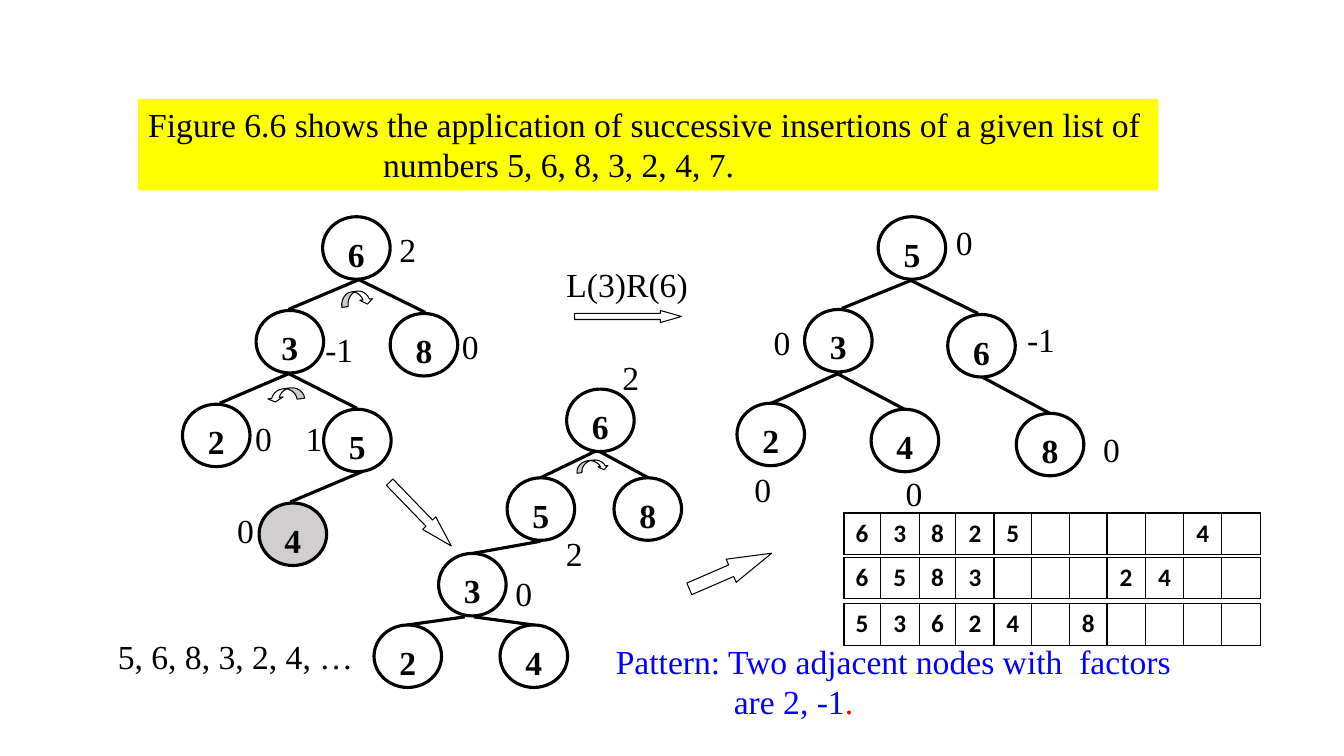
import pptx
import pptx.dml.color
import pptx.enum.shapes
import pptx.enum.text
import pptx.oxml
import pptx.oxml.ns
import pptx.util
from pptx.util import Inches

hex_color = pptx.dml.color.RGBColor.from_string
ALIGN = pptx.enum.text.PP_ALIGN
ANCHOR = pptx.enum.text.MSO_ANCHOR
SHAPE = pptx.enum.shapes.MSO_SHAPE


def write(paragraph, text, size=24, font="Times New Roman", color="000000",
          bold=False, align=ALIGN.LEFT, indent=0):
    """Append a formatted run; indent is the paragraph's left margin in inches."""
    if indent:
        properties = paragraph._p.get_or_add_pPr()
        properties.set("marL", str(Inches(indent)))
        properties.set("indent", "0")
    paragraph.alignment = align
    run = paragraph.add_run()
    run.text = text
    run.font.size = pptx.util.Pt(size)
    run.font.name = font
    run.font.bold = bold
    run.font.color.rgb = hex_color(color)


def add_outlined(kind, left, top, width, height, fill="FFFFFF", line_width=0.75):
    shape = slide.shapes.add_shape(
        kind, Inches(left), Inches(top), Inches(width), Inches(height))
    shape.shadow.inherit = False
    shape.fill.solid()
    shape.fill.fore_color.rgb = hex_color(fill)
    shape.line.color.rgb = hex_color("000000")
    shape.line.width = pptx.util.Pt(line_width)
    return shape


presentation = pptx.Presentation()
presentation.slide_width = Inches(13.33)
presentation.slide_height = Inches(7.5)
slide = presentation.slides.add_slide(presentation.slide_layouts[5])

# Title band
title = slide.shapes.title
title.left, title.top = Inches(1.37), Inches(0.98)
title.width, title.height = Inches(10.12), Inches(0.91)
title.fill.solid()
title.fill.fore_color.rgb = hex_color("FFFF00")
title.text_frame.auto_size = pptx.enum.text.MSO_AUTO_SIZE.NONE
title.text_frame.vertical_anchor = ANCHOR.TOP
write(title.text_frame.paragraphs[0],
      "Figure 6.6 shows the application of successive insertions of a given list of")
write(title.text_frame.add_paragraph(), "numbers 5, 6, 8, 3, 2, 4, 7.", indent=2.33)

# Tree edges: x and y of both ends
edges = [
    # Tree before the rotations
    (2.86, 3.07, 3.57, 2.77), (3.55, 2.77, 4.22, 3.1), (2.18, 4, 2.88, 3.7),
    (2.87, 3.71, 3.54, 4.05), (2.88, 4.98, 3.59, 4.68),
    # Tree after the left rotation
    (5.94, 4.46, 5.36, 4.74), (5.91, 4.46, 6.43, 4.74), (5.36, 5.37, 4.69, 5.49),
    (4.61, 6.12, 4.04, 6.2), (4.7, 6.12, 5.29, 6.2),
    # Balanced tree
    (8.35, 3.06, 9.04, 2.78), (9.03, 2.78, 9.7, 3.11), (7.65, 4, 8.35, 3.69),
    (8.31, 3.71, 8.97, 4.06), (9.74, 3.74, 10.41, 4.1),
]
for x1, y1, x2, y2 in edges:
    edge = slide.shapes.add_connector(
        pptx.enum.shapes.MSO_CONNECTOR.STRAIGHT,
        Inches(x1), Inches(y1), Inches(x2), Inches(y2))
    edge.line.color.rgb = hex_color("000000")
    edge.line.width = pptx.util.Pt(2.25)
    edge._element.spPr.append(pptx.oxml.parse_xml(
        f"<a:effectLst {pptx.oxml.ns.nsdecls('a')}/>"))

# Tree nodes: key, left, top, fill
nodes = [
    ("6", 3.2, 2.15, "FFFFFF"), ("3", 2.54, 3.08, "FFFFFF"), ("8", 3.87, 3.11, "FFFFFF"),
    ("2", 1.81, 4.01, "FFFFFF"), ("5", 3.21, 4.06, "FFFFFF"), ("4", 2.57, 4.99, "D0CECE"),
    ("6", 5.62, 3.86, "FFFFFF"), ("5", 5.03, 4.74, "FFFFFF"), ("8", 6.09, 4.74, "FFFFFF"),
    ("3", 4.35, 5.49, "FFFFFF"), ("2", 3.71, 6.2, "FFFFFF"), ("4", 4.96, 6.2, "FFFFFF"),
    ("5", 8.71, 2.15, "FFFFFF"), ("3", 7.98, 3.07, "FFFFFF"), ("6", 9.4, 3.12, "FFFFFF"),
    ("2", 7.31, 4, "FFFFFF"), ("4", 8.64, 4.06, "FFFFFF"), ("8", 10.08, 4.1, "FFFFFF"),
]
for key, left, top, fill in nodes:
    node = add_outlined(SHAPE.OVAL, left, top, 0.67, 0.62, fill=fill, line_width=2.25)
    node.text_frame.vertical_anchor = ANCHOR.TOP
    key_line = node.text_frame.paragraphs[0]
    key_line.line_spacing = 1.07
    key_line.space_after = pptx.util.Pt(8)
    write(key_line, key, bold=True, align=ALIGN.CENTER)

# Balance factors: value, left, top
factors = [
    ("2", 3.79, 2.22), ("-1", 3.11, 3.21), ("0", 4.41, 3.18), ("0", 2.36, 4.1),
    ("1", 2.86, 4.1), ("0", 2.18, 5.01),
    ("2", 6, 3.49), ("2", 5.44, 5.24), ("0", 4.94, 5.63),
    ("0", 9.31, 2.15), ("0", 7.5, 3.14), ("-1", 10.07, 3.11), ("0", 7.31, 4.6),
    ("0", 8.81, 4.64), ("0", 10.77, 4.21),
]
for value, left, top in factors:
    factor = slide.shapes.add_textbox(Inches(left), Inches(top), Inches(0.51), Inches(0.5))
    factor.text_frame.word_wrap = True
    write(factor.text_frame.paragraphs[0], value, align=ALIGN.CENTER)

# Rotation marks: left, top, width, height, flipped, adjustments
rotation_marks = [
    (3.47, 2.8, 0.14, 0.32, True, (0.454, 0.907, 0.333)),
    (2.77, 3.73, 0.12, 0.37, False, (0.632, 1.265, 0.333)),
    (5.82, 4.46, 0.11, 0.32, True, (0.454, 0.907, 0.333)),
]
for left, top, width, height, flipped, adjustments in rotation_marks:
    mark = add_outlined(SHAPE.CURVED_RIGHT_ARROW, left, top, width, height)
    mark.rotation = 82.6
    if flipped:
        mark._element.spPr.xfrm.set("flipV", "1")
    for index, adjustment in enumerate(adjustments):
        mark.adjustments[index] = adjustment

# Arrows between the trees: left, top, width, height, rotation
for left, top, width, height, rotation in [
        (5.7, 3.08, 1.06, 0.12, 0), (3.73, 5.01, 0.88, 0.18, 46),
        (6.8, 5.54, 0.89, 0.25, 336.6)]:
    step_arrow = add_outlined(SHAPE.RIGHT_ARROW, left, top, width, height)
    step_arrow.rotation = rotation
    step_arrow.adjustments[0] = 0.5
    step_arrow.adjustments[1] = 1.75

# Captions
for text, left, top, width in [
        ("L(3)R(6)", 5.52, 2.57, 1.46), ("5, 6, 8, 3, 2, 4, …", 1.07, 6.26, 2.64)]:
    caption = slide.shapes.add_textbox(Inches(left), Inches(top), Inches(width), Inches(0.5))
    caption.text_frame.word_wrap = False
    write(caption.text_frame.paragraphs[0], text)

pattern = slide.shapes.add_textbox(Inches(6.01), Inches(6.31), Inches(5.93), Inches(0.91))
pattern.text_frame.word_wrap = True
write(pattern.text_frame.paragraphs[0],
      "Pattern: Two adjacent nodes with  factors", color="0000FF")
pattern_end = pattern.text_frame.add_paragraph()
write(pattern_end, "are 2, -1", color="0000FF", indent=1.17)
write(pattern_end, ".", color="FF0000")

# Array form of each tree: top and one character per cell
column_widths = [0.36, 0.39, 0.36, 0.38, 0.37, 0.38, 0.37, 0.38, 0.38, 0.38, 0.38]
for top, keys in [(5.09, "63825    4 "), (5.53, "6583   24  "), (5.99, "53624 8    ")]:
    tree_array = slide.shapes.add_table(
        1, len(column_widths), Inches(8.37), Inches(top),
        Inches(sum(column_widths)), Inches(0.41)).table
    for column, width, cell, key in zip(
            tree_array.columns, column_widths, tree_array.rows[0].cells, keys):
        column.width = Inches(width)
        cell.fill.solid()
        cell.fill.fore_color.rgb = hex_color("FFFFFF")
        for index, side in enumerate(["lnL", "lnR", "lnT", "lnB"]):
            cell._tc.tcPr.insert(index, pptx.oxml.parse_xml(
                f'<a:{side} {pptx.oxml.ns.nsdecls("a")} w="12700"><a:solidFill>'
                f'<a:srgbClr val="000000"/></a:solidFill></a:{side}>'))
        if key != " ":
            write(cell.text_frame.paragraphs[0], key, size=18, font="Calibri",
                  bold=True, align=ALIGN.CENTER)

presentation.save("out.pptx")
